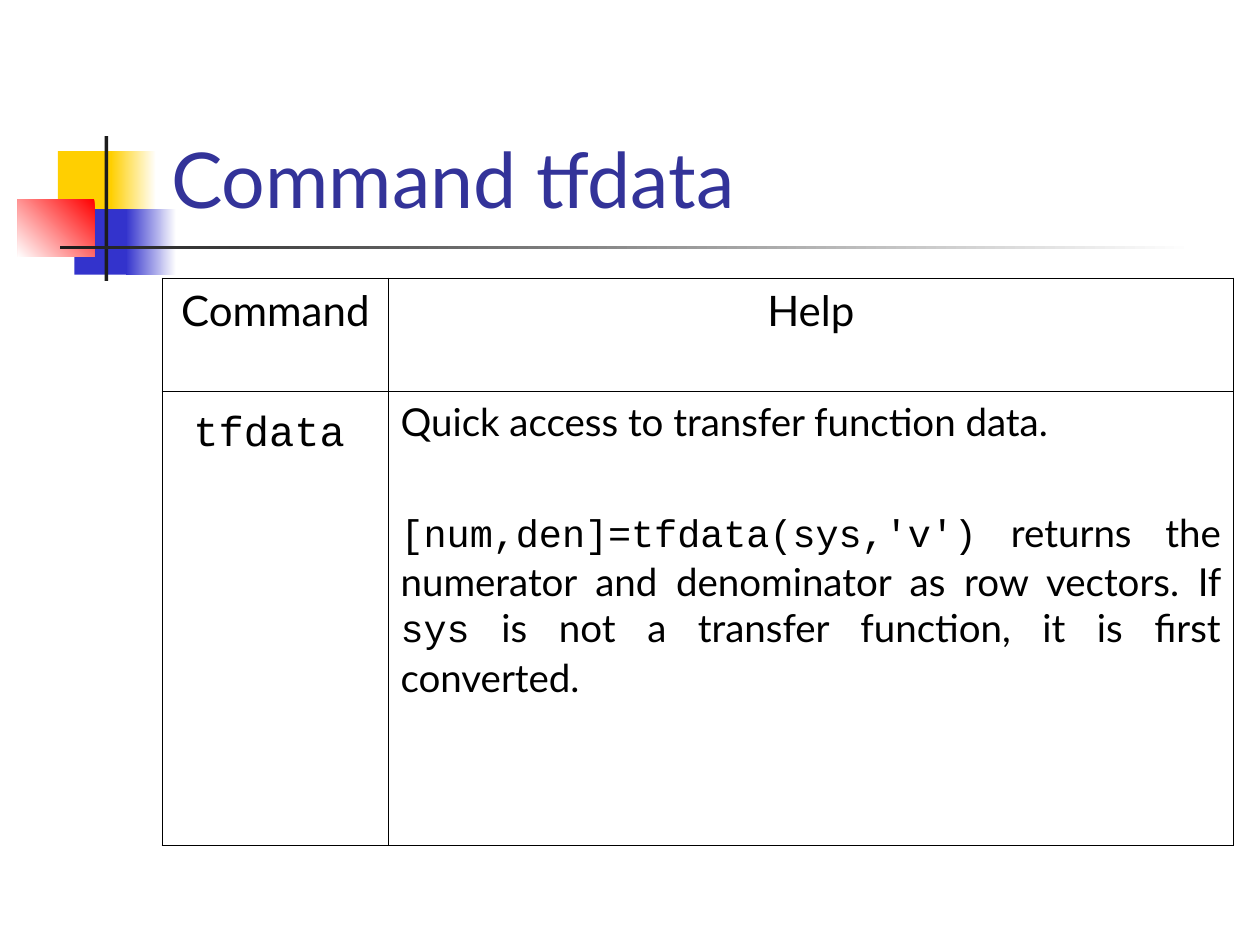
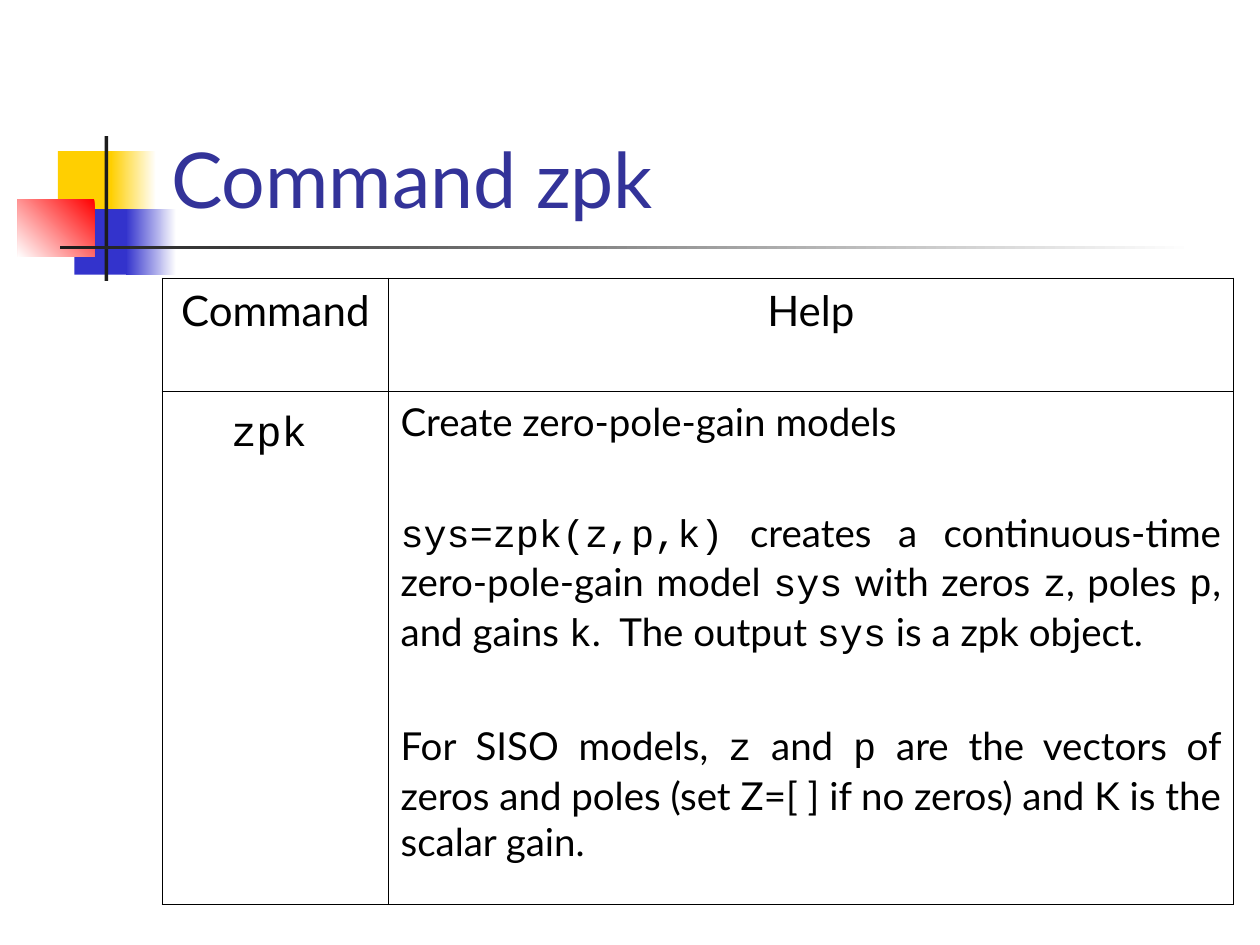
import pptx
import pptx.dml.color
import pptx.enum.shapes
import pptx.enum.text
import pptx.oxml
import pptx.oxml.ns
import pptx.util

Inches = pptx.util.Inches
Pt = pptx.util.Pt
RGBColor = pptx.dml.color.RGBColor
PP_ALIGN = pptx.enum.text.PP_ALIGN

WHITE = RGBColor(0xFF, 0xFF, 0xFF)
BLACK = RGBColor(0, 0, 0)
YELLOW = RGBColor(0xFF, 0xCF, 0x01)
BLUE = RGBColor(0x33, 0x33, 0xCC)
RED = RGBColor(0xFF, 0, 0)
CHARCOAL = RGBColor(0x1C, 0x1C, 0x1C)
TITLE_BLUE = RGBColor(0x33, 0x33, 0x99)

BODY_FONT = "Lato"
CODE_FONT = "Courier New"
OUTER_BORDER, INNER_BORDER = 1.08, 0.45
SECTION_GAP = 37

ORNAMENT_BOX = (0.14, 1.08)
TITLE_BOX = (1.26, 0.23, 8.52, 1.6)
TABLE_BOX = (1.29, 2.21)
COLUMN_WIDTHS = (1.79, 6.71)
HEADER_HEIGHT = 0.9

ORNAMENT_PARTS = [
    ((0.32, 0.12, 0.48, 0.52), (YELLOW,), 0),
    ((0.74, 0.12, 0.36, 0.52), (WHITE, YELLOW), 180),
    ((0.45, 0.58, 0.46, 0.52), (BLUE,), 0),
    ((0.86, 0.58, 0.4, 0.52), (WHITE, BLUE), 180),
    ((0, 0.5, 0.61, 0.46), (RED, WHITE), 225),
    ((0.69, 0, 0.03, 1.15), (CHARCOAL,), 0),
    ((0.34, 0.87, 9, 0.03), (WHITE, CHARCOAL), 180),
]

COMMANDS = [
    ("tfdata", 3.6, [
        "Quick access to transfer function data.",
        "`[num,den]=tfdata(sys,'v')` returns the numerator and denominator as row vectors. "
        "If `sys` is not a transfer function, it is first converted.",
    ]),
    ("zpk", 4.07, [
        "Create zero-pole-gain models",
        "`sys=zpk(z,p,k)` creates a continuous-time zero-pole-gain model `sys` with zeros `z`, "
        "poles `p`, and gains `k`.  The output `sys` is a zpk object.",
        "For SISO models, `z` and `p` are the vectors of zeros and poles "
        "(set Z=[ ] if no zeros) and K is the scalar gain.",
    ]),
]


def add_ornament(slide, box):
    """Draw the coloured squares and the crossing bars from the box corner."""
    for (left, top, width, height), colors, angle in ORNAMENT_PARTS:
        shape = slide.shapes.add_shape(
            pptx.enum.shapes.MSO_SHAPE.RECTANGLE,
            Inches(box[0] + left), Inches(box[1] + top), Inches(width), Inches(height))
        shape.shadow.inherit = False
        shape.line.fill.background()
        if len(colors) == 1:
            shape.fill.solid()
            shape.fill.fore_color.rgb = colors[0]
        else:
            shape.fill.gradient()
            shape.fill.gradient_angle = angle
            for stop, color in zip(shape.fill.gradient_stops, colors):
                stop.color.rgb = color


def write_marked_text(paragraph, text, size, color=BLACK):
    """Write text whose backquoted parts are set in the code font."""
    for index, part in enumerate(text.split("`")):
        if part:
            run = paragraph.add_run()
            run.text = part
            run.font.name = CODE_FONT if index % 2 else BODY_FONT
            run.font.size = Pt(size)
            run.font.color.rgb = color


def add_title(slide, box, text):
    """Add the title, resting on the bottom of its box."""
    text_frame = slide.shapes.add_textbox(*map(Inches, box)).text_frame
    text_frame.word_wrap = True
    text_frame.vertical_anchor = pptx.enum.text.MSO_ANCHOR.BOTTOM
    write_marked_text(text_frame.paragraphs[0], text, 44, TITLE_BLUE)


def set_borders(cell, row, column):
    """Give the cell thick borders on the table's outside and thin ones inside."""
    cell.fill.background()
    outer_sides = {"L": column == 0, "R": column == 1, "T": row == 0, "B": row == 1}
    properties = cell._tc.get_or_add_tcPr()
    for index, (side, is_outer) in enumerate(outer_sides.items()):
        width = Pt(OUTER_BORDER if is_outer else INNER_BORDER)
        properties.insert(index, pptx.oxml.parse_xml(
            f'<a:ln{side} {pptx.oxml.ns.nsdecls("a")} w="{width}">'
            f'<a:solidFill><a:srgbClr val="{BLACK}"/></a:solidFill></a:ln{side}>'))


def fill_cell(cell, texts, size, alignment, space_before):
    """Write one paragraph per text, with a wide gap between paragraphs."""
    for index, text in enumerate(texts):
        text_frame = cell.text_frame
        paragraph = text_frame.add_paragraph() if index else text_frame.paragraphs[0]
        paragraph.alignment = alignment
        paragraph.space_before = Pt(SECTION_GAP if index else space_before)
        write_marked_text(paragraph, text, size)


def add_help_table(slide, box, command, help_height, help_texts):
    """Add the table that pairs a command with its help text."""
    heights = (HEADER_HEIGHT, help_height)
    table = slide.shapes.add_table(
        2, 2, *map(Inches, box), Inches(sum(COLUMN_WIDTHS)), Inches(sum(heights))).table
    table.first_row = False
    table.horz_banding = False
    for column, width in zip(table.columns, COLUMN_WIDTHS):
        column.width = Inches(width)
    for row, height in zip(table.rows, heights):
        row.height = Inches(height)
    for row in range(2):
        for column in range(2):
            set_borders(table.cell(row, column), row, column)
    for column, heading in enumerate(("Command", "Help")):
        fill_cell(table.cell(0, column), [heading], 24, PP_ALIGN.CENTER, 6)
    name_cell = table.cell(1, 0)
    fill_cell(name_cell, [f"`{command}` "], 24, PP_ALIGN.CENTER, 7)
    name_cell.text_frame.paragraphs[0].runs[-1].font.size = Pt(28)
    fill_cell(table.cell(1, 1), help_texts, 22, PP_ALIGN.JUSTIFY, 5.5)


def add_command_slide(presentation, command, help_height, help_texts):
    """Add one slide that explains a command."""
    slide = presentation.slides.add_slide(presentation.slide_layouts[6])
    add_ornament(slide, ORNAMENT_BOX)
    add_title(slide, TITLE_BOX, f"Command {command}")
    add_help_table(slide, TABLE_BOX, command, help_height, help_texts)


def main():
    """Build and save the presentation."""
    presentation = pptx.Presentation()
    presentation.slide_width = Inches(10)
    presentation.slide_height = Inches(7.5)
    for command, help_height, help_texts in COMMANDS:
        add_command_slide(presentation, command, help_height, help_texts)
    presentation.save("out.pptx")


if __name__ == "__main__":
    main()
